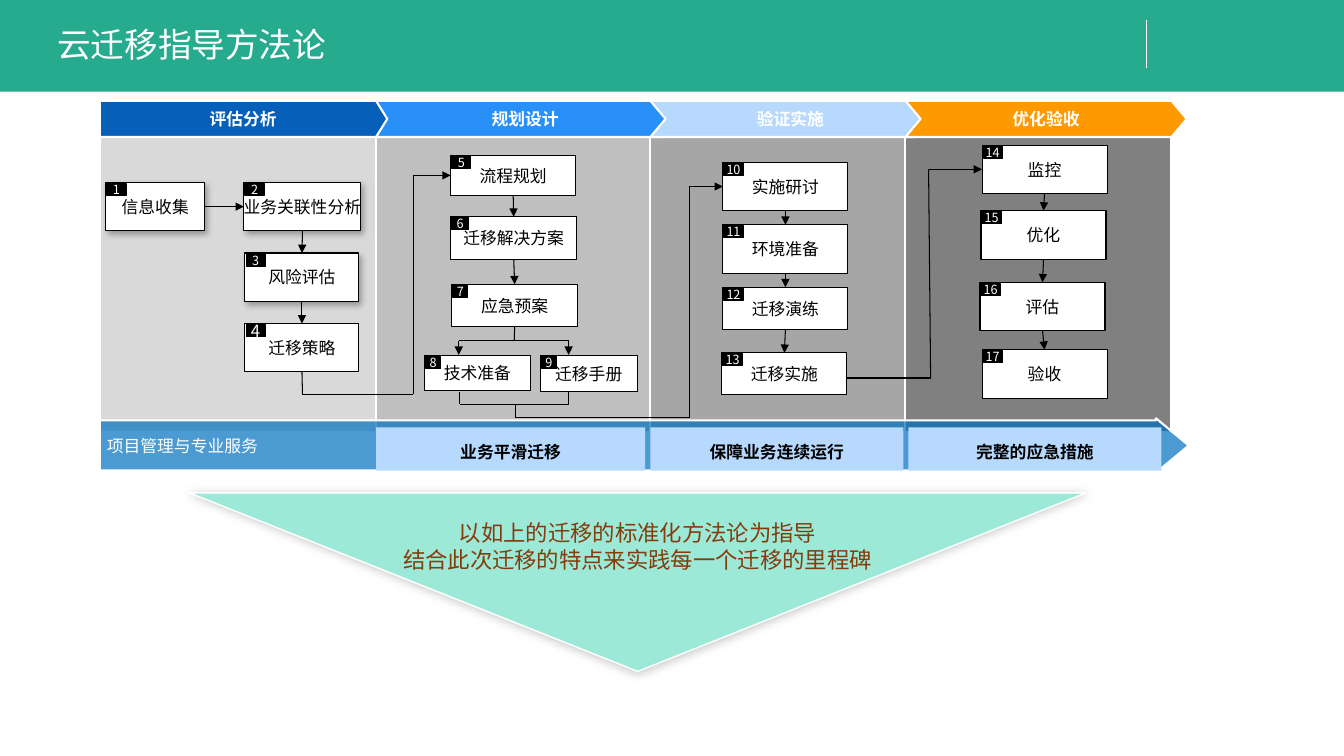
from dataclasses import dataclass
from lxml.etree import SubElement
from pptx import Presentation
from pptx.dml.color import RGBColor
from pptx.enum.shapes import MSO_CONNECTOR, MSO_SHAPE
from pptx.enum.text import MSO_ANCHOR, PP_ALIGN
from pptx.oxml.ns import qn
from pptx.util import Inches, Pt


@dataclass(frozen=True)
class Theme:
    font: str = "Noto Sans CJK SC"
    banner: str = "26AB8E"
    white: str = "FFFFFF"
    black: str = "000000"
    outcome: str = "B6D9FD"
    service: str = "0070C0"
    funnel: str = "9CE9D8"
    brown: str = "843C0B"
    title: int = 24
    summary: int = 16
    body: int = 12
    badge: int = 9
    hairline: float = 0.75
    border: float = 1.5


T = Theme()
SLIDE_W, SLIDE_H = 13.33, 7.5
BANNER_H = 0.91
TITLE = "云迁移指导方法论"
SERVICE = "项目管理与专业服务"
SUMMARY = ["以如上的迁移的标准化方法论为指导", "结合此次迁移的特点来实践每一个迁移的里程碑"]

EDGES = [0.99, 3.73, 6.45, 8.98, 11.62]
PANEL_TOP, PANEL_H = 1.33, 2.96
HEADER_TOP, HEADER_H = 1, 0.36
OUTCOME_TOP, OUTCOME_H = 4.24, 0.43

STAGES = [
    ("评估分析", "0660BA", "D9D9D9", MSO_SHAPE.PENTAGON, 0.43, 0.18),
    ("规划设计", "2890F8", "BFBFBF", MSO_SHAPE.CHEVRON, 0.31, 0.24),
    ("验证实施", "B6D9FD", "A6A6A6", MSO_SHAPE.CHEVRON, 0.42, 0.25),
    ("优化验收", "FF9900", "808080", MSO_SHAPE.CHEVRON, 0.42, 0.15),
]
OUTCOMES = [("业务平滑迁移", 3.73, 2.67), ("保障业务连续运行", 6.45, 2.51),
            ("完整的应急措施", 9.01, 2.51)]

STEPS = [
    ("信息收集", 1.05, 1.81, 0.98, 0.48),
    ("业务关联性分析", 2.42, 1.81, 1.16, 0.48),
    ("风险评估", 2.43, 2.51, 1.13, 0.48),
    ("迁移策略", 2.43, 3.21, 1.13, 0.48),
    ("流程规划", 4.47, 1.54, 1.24, 0.4),
    ("迁移解决方案", 4.47, 2.15, 1.25, 0.42),
    ("应急预案", 4.48, 2.82, 1.25, 0.42),
    ("技术准备", 4.21, 3.53, 1.05, 0.34),
    ("迁移手册", 5.36, 3.53, 0.96, 0.35),
    ("实施研讨", 7.17, 1.61, 1.24, 0.48),
    ("环境准备", 7.17, 2.23, 1.24, 0.48),
    ("迁移演练", 7.17, 2.85, 1.24, 0.42),
    ("迁移实施", 7.16, 3.5, 1.24, 0.41),
    ("监控", 9.74, 1.44, 1.24, 0.48),
    ("优化", 9.73, 2.09, 1.24, 0.48),
    ("评估", 9.72, 2.8, 1.24, 0.48),
    ("验收", 9.74, 3.47, 1.24, 0.48),
]
SHADED_STEPS = {1, 2, 3}
BADGE_W, BADGE_H = 0.19, 0.12
NARROW_BADGES = {6: 0.17, 7: 0.15, 8: 0.15, 9: 0.15}
BADGE_SIZES = {4: T.body}

SITES = {"top": 0, "left": 1, "bottom": 2, "right": 3}
DOWNWARD = [2, 3, 5, 6, 10, 11, 12, 14, 15, 16]
ROUTES = [([("bottom", n), ("top", n + 1)], True) for n in DOWNWARD] + [
    ([("right", 1), ("left", 2)], True),
    ([("bottom", 4), (3, 3.91), (4.1, 3.91), (4.1, 1.74), ("left", 5)], True),
    ([("bottom", 7), (5.1, 3.38)], False),
    ([(5.1, 3.38), (4.55, 3.38), (4.55, 3.52)], True),
    ([(5.1, 3.38), (5.64, 3.38), (5.64, 3.52)], True),
    ([(4.56, 3.89), (4.56, 4.01), (5.64, 4.01), (5.64, 3.89)], False),
    ([(5.11, 4.01), (5.11, 4.14), (6.84, 4.14), (6.84, 1.85), ("left", 10)], True),
    ([(8.4, 3.75), (9.23, 3.75), (9.21, 1.68), ("left", 14)], True),
]


def rgb(color):
    return RGBColor.from_string(color)


def add_run(p, text, size, color, bold=False):
    r = p.add_run()
    r.text = text
    r.font.name, r.font.size, r.font.bold = T.font, Pt(size), bold
    r.font.color.rgb = rgb(color)
    SubElement(r.font._element, qn("a:ea"), typeface=T.font)


def write(sp, lines, size, color, bold=False, align=PP_ALIGN.CENTER,
          anchor=MSO_ANCHOR.MIDDLE, wrap=False, spacing=None, after=None,
          insets=(0.07, 0.04)):
    tf = sp.text_frame
    tf.word_wrap, tf.vertical_anchor = wrap, anchor
    tf.margin_left = tf.margin_right = Inches(insets[0])
    tf.margin_top = tf.margin_bottom = Inches(insets[1])
    for i, line in enumerate(lines):
        p = tf.add_paragraph() if i else tf.paragraphs[0]
        p.alignment, p.line_spacing, p.space_after = align, spacing, after
        add_run(p, line, size, color, bold)


def add_block(s, kind, box, fill, line=None, width=T.border, adj=()):
    sp = s.shapes.add_shape(kind, *map(Inches, box))
    sp.shadow.inherit = False
    sp.fill.solid()
    sp.fill.fore_color.rgb = rgb(fill)
    if line:
        sp.line.color.rgb, sp.line.width = rgb(line), Pt(width)
    else:
        sp.line.fill.background()
    for i, value in enumerate(adj):
        sp.adjustments[i] = value
    return sp


def cast_shadow(sp, alpha, blur, dist, angle):
    effects = sp._element.spPr.find(qn("a:effectLst"))
    shadow = SubElement(effects, qn("a:outerShdw"), blurRad=str(Pt(blur)), dist=str(Pt(dist)),
                        dir=str(angle * 60000), algn="ctr", rotWithShape="0")
    color = SubElement(shadow, qn("a:srgbClr"), val=T.black)
    SubElement(color, qn("a:alpha"), val=str(alpha * 1000))


def locate(point, boxes):
    if not isinstance(point[0], str):
        return tuple(map(Inches, point))
    side, n = point
    sp = boxes[n]
    dx, dy = {"top": (0.5, 0), "left": (0, 0.5), "bottom": (0.5, 1), "right": (1, 0.5)}[side]
    return int(sp.left + dx * sp.width), int(sp.top + dy * sp.height)


def add_line(s, start, end, boxes, color=T.black, width=T.hairline, arrow=False):
    cx = s.shapes.add_connector(MSO_CONNECTOR.STRAIGHT, *locate(start, boxes), *locate(end, boxes))
    for point, join in ((start, cx.begin_connect), (end, cx.end_connect)):
        if isinstance(point[0], str):
            join(boxes[point[1]], SITES[point[0]])
    cx.line.color.rgb, cx.line.width = rgb(color), Pt(width)
    if arrow:
        SubElement(cx.line._get_or_add_ln(), qn("a:tailEnd"), type="triangle")
    SubElement(cx._element.spPr, qn("a:effectLst"))


def add_step(s, n, label, x, y, w, h):
    sp = add_block(s, MSO_SHAPE.RECTANGLE, (x, y, w, h), T.white, T.black, T.hairline)
    write(sp, [label], T.body, T.black)
    if n in SHADED_STEPS:
        cast_shadow(sp, 30, 4.5, 2.6, 53)
    badge_box = (x + 0.01, y + 0.01, NARROW_BADGES.get(n, BADGE_W), BADGE_H)
    badge = add_block(s, MSO_SHAPE.RECTANGLE, badge_box, T.black, T.black, T.hairline)
    write(badge, [str(n)], BADGE_SIZES.get(n, T.badge), T.white)
    return sp


def main():
    prs = Presentation()
    prs.slide_width, prs.slide_height = Inches(SLIDE_W), Inches(SLIDE_H)
    s = prs.slides.add_slide(prs.slide_layouts[6])

    add_block(s, MSO_SHAPE.RECTANGLE, (0, 0, SLIDE_W, BANNER_H), T.banner)
    add_line(s, (11.37, 0.2), (11.37, 0.67), {}, T.white, 0.5)
    title = s.shapes.add_textbox(*map(Inches, (0.47, 0.08, 8.04, 0.71)))
    write(title, [TITLE], T.title, T.white, align=PP_ALIGN.LEFT, wrap=True, insets=(0.1, 0.05))

    columns = list(zip(STAGES, EDGES, EDGES[1:]))
    for stage, left, right in columns:
        add_block(s, MSO_SHAPE.RECTANGLE, (left, PANEL_TOP, right - left, PANEL_H), stage[2], T.white)

    service = add_block(s, MSO_SHAPE.RIGHT_ARROW, (EDGES[0], 4.15, 10.8, 0.54),
                        T.service, T.white, adj=(0.92, 0.6))
    SubElement(service._element.spPr.find(qn("a:solidFill"))[0], qn("a:alpha"), val="70000")
    write(service, [SERVICE], T.body, T.white, align=PP_ALIGN.LEFT, wrap=True)

    boxes = {n: add_step(s, n, *step) for n, step in enumerate(STEPS, 1)}
    for points, arrow in ROUTES:
        for i, (start, end) in enumerate(zip(points, points[1:]), 2):
            add_line(s, start, end, boxes, arrow=arrow and i == len(points))

    for (label, color, _, kind, adj, overlap), left, right in columns:
        sp = add_block(s, kind, (left, HEADER_TOP, right - left + overlap, HEADER_H),
                       color, T.white, adj=(adj,))
        write(sp, [label], T.body, T.white, bold=True)

    for label, left, width in OUTCOMES:
        sp = add_block(s, MSO_SHAPE.RECTANGLE, (left, OUTCOME_TOP, width, OUTCOME_H), T.outcome)
        write(sp, [label], T.body, T.black, bold=True, anchor=MSO_ANCHOR.TOP, wrap=True, spacing=1.5)

    funnel = add_block(s, MSO_SHAPE.TRAPEZOID, (1.88, 4.89, 8.89, 1.77), T.funnel, T.white, 1, (2.51,))
    funnel.rotation = 180
    cast_shadow(funnel, 20, 6, 1, 135)
    summary = s.shapes.add_textbox(*map(Inches, (1.88, 5.16, 8.89, 0.7)))
    write(summary, SUMMARY, T.summary, T.brown, anchor=MSO_ANCHOR.TOP, wrap=True,
          spacing=0.9, after=Pt(2), insets=(0.02, 0.02))

    prs.save("out.pptx")


if __name__ == "__main__":
    main()
